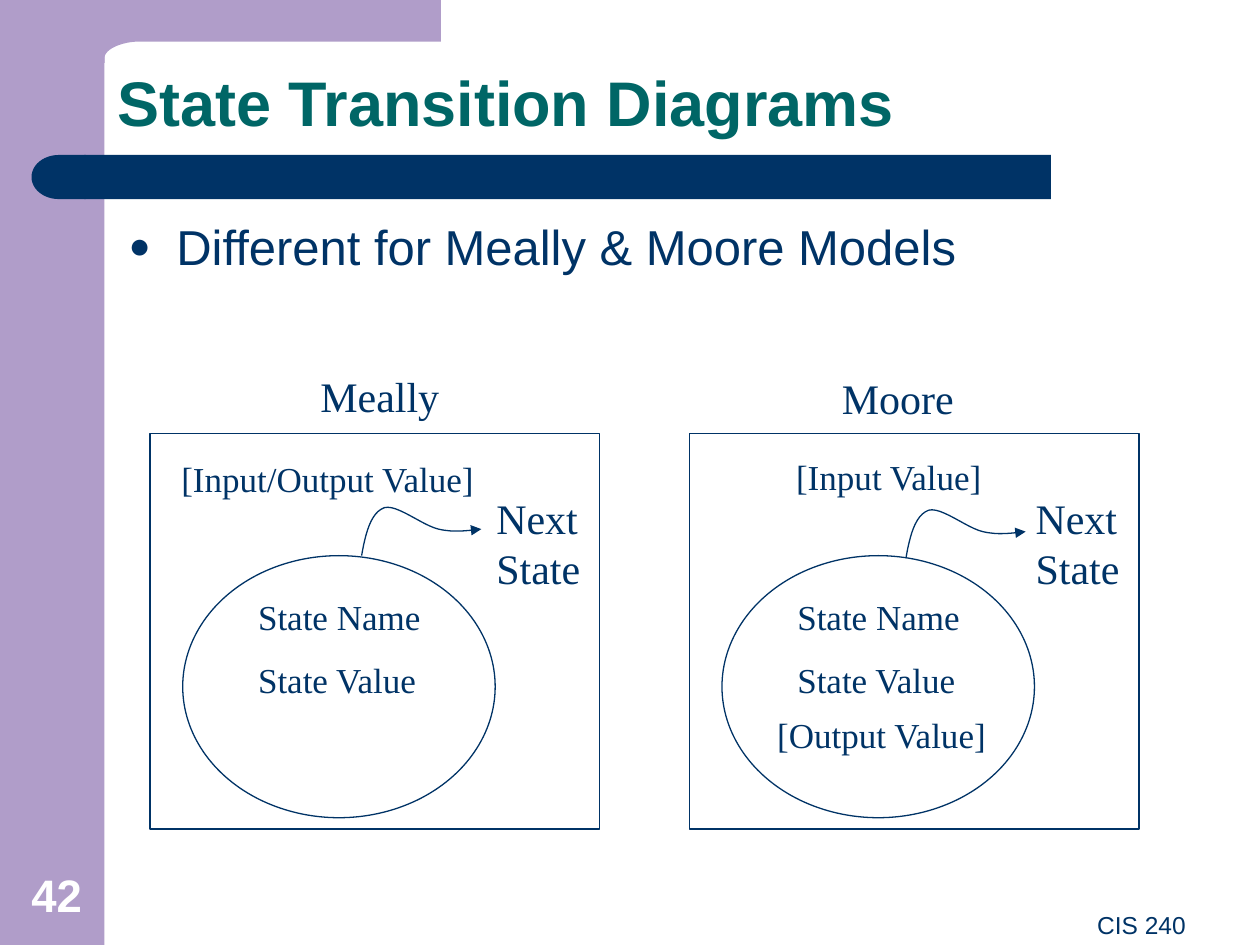
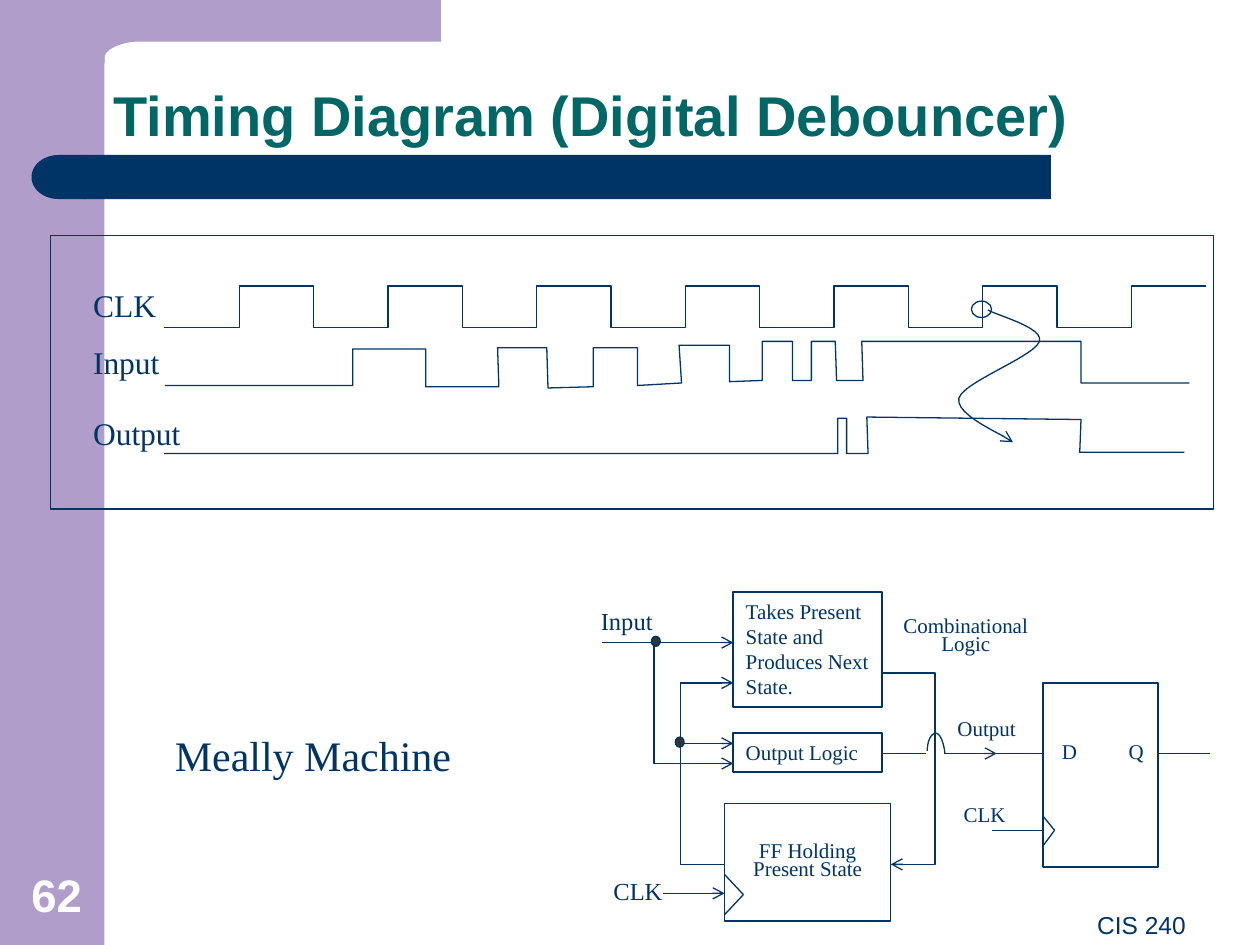
from lxml.etree import SubElement
from pptx import Presentation
from pptx.dml.color import RGBColor
from pptx.enum.shapes import MSO_CONNECTOR, MSO_SHAPE
from pptx.enum.text import MSO_ANCHOR, MSO_AUTO_SIZE, PP_ALIGN
from pptx.oxml.ns import qn
from pptx.util import Inches, Pt


class Theme:
    navy = RGBColor(0x00, 0x33, 0x66)
    teal = RGBColor(0x00, 0x66, 0x66)
    lilac = RGBColor(0xB0, 0x9D, 0xC9)
    white = RGBColor(0xFF, 0xFF, 0xFF)
    dot = RGBColor(0x33, 0x33, 0x33)
    sans, serif = "Arial", "Times New Roman"
    title, long_title, body, number, footer = 36, 32, 28, 26, 14
    heading, label, signal, pin, small = 24, 20, 18, 14, 12
    thin, medium = 0.75, 1


deck = Presentation()
deck.slide_width, deck.slide_height = Inches(10), Inches(7.5)

# Grid: 100 columns by 75 rows, all positions are counted in these
COL = deck.slide_width / 100
ROW = deck.slide_height / 75


def write(slide, text, box, shape=None, preset=None, fill=None, line=None,
          size=Theme.small, font=Theme.serif, color=Theme.navy, bold=False,
          align=PP_ALIGN.LEFT, anchor=MSO_ANCHOR.TOP, spacing=None, before=0):
    """Put text in a placeholder, a preset shape or a new text box."""
    left, top, width, height = box
    place = [round(v) for v in (left * COL, top * ROW, width * COL, height * ROW)]
    if shape is not None:
        shape.left, shape.top, shape.width, shape.height = place
    elif preset is not None:
        shape = slide.shapes.add_shape(preset, *place)
        shape.shadow.inherit = False
        if fill is None:
            shape.fill.background()
        else:
            shape.fill.solid()
            shape.fill.fore_color.rgb = fill
        if line is None:
            shape.line.fill.background()
        else:
            shape.line.color.rgb = Theme.navy
            shape.line.width = Pt(line)
    else:
        shape = slide.shapes.add_textbox(*place)
    if not text:
        return shape
    frame = shape.text_frame
    frame.word_wrap = True
    frame.auto_size = MSO_AUTO_SIZE.NONE
    frame.vertical_anchor = anchor
    for index, content in enumerate(text.split("\n")):
        paragraph = frame.add_paragraph() if index else frame.paragraphs[0]
        paragraph.alignment = align
        paragraph.space_before = Pt(before if index else 0)
        if spacing:
            paragraph.line_spacing = spacing
        run = paragraph.add_run()
        run.text = content
        run.font.size, run.font.name, run.font.bold = Pt(size), font, bold
        run.font.color.rgb = color
    return shape


def draw(slide, steps, arrow=None, fill=None):
    """Draw a path; a step of six numbers is a Bezier curve, two points a line."""
    points = []
    for step in steps:
        if len(step) == 2:
            points.append(step)
            continue
        x0, y0 = points[-1]
        x1, y1, x2, y2, x3, y3 = step
        for t in (n / 12 for n in range(1, 13)):
            a, b, c, d = (1 - t) ** 3, 3 * t * (1 - t) ** 2, 3 * t * t * (1 - t), t ** 3
            points.append((a * x0 + b * x1 + c * x2 + d * x3,
                           a * y0 + b * y1 + c * y2 + d * y3))
    points = [(round(x * COL), round(y * ROW)) for x, y in points]
    if len(points) == 2:
        path = slide.shapes.add_connector(MSO_CONNECTOR.STRAIGHT, *points[0], *points[1])
    else:
        builder = slide.shapes.build_freeform(*points[0], scale=1.0)
        builder.add_line_segments(points[1:], close=fill is not None)
        path = builder.convert_to_shape()
        path.shadow.inherit = False
        path.fill.background()
    if fill is not None:
        path.fill.solid()
        path.fill.fore_color.rgb = fill
        path.line.fill.background()
        return
    path.line.color.rgb = Theme.navy
    path.line.width = Pt(Theme.thin)
    properties = path._element.spPr
    if arrow:
        SubElement(properties.find(qn("a:ln")), qn("a:tailEnd"), type=arrow)
    if len(points) == 2:
        SubElement(properties, qn("a:effectLst"))


# Shared frame: bands, title, slide number, footer
states = deck.slides.add_slide(deck.slide_layouts[1])
timing = deck.slides.add_slide(deck.slide_layouts[5])
for slide, title, title_box, title_size, number in (
    (states, "State Transition Diagrams", (8.3, 3.3, 86.7, 8.3), Theme.title, "42"),
    (timing, "Timing Diagram (Digital Debouncer)", (8, 1.7, 85, 10.6),
     Theme.long_title, "62"),
):
    write(slide, "", (0, 0, 8.3, 75), preset=MSO_SHAPE.RECTANGLE, fill=Theme.lilac)
    draw(slide, [(5, 0), (35, 0), (35, 3.3), (11.1, 3.3),
                 (9.7, 3.3, 8.3, 3.9, 8.3, 4.6), (8.3, 5), (5, 5)], fill=Theme.lilac)
    write(slide, "", (6.7, 12.3, 76.7, 3.5), preset=MSO_SHAPE.RECTANGLE, fill=Theme.navy)
    cap = write(slide, "", (2.5, 12.3, 4.3, 3.5), preset=MSO_SHAPE.FLOWCHART_DELAY,
                fill=Theme.navy)
    cap.rotation = 180
    write(slide, title, title_box, shape=slide.shapes.title, size=title_size,
          font=Theme.sans, color=Theme.teal, bold=True, anchor=MSO_ANCHOR.BOTTOM,
          spacing=0.9)
    write(slide, number, (0, 68.3, 9, 5.3), size=Theme.number, font=Theme.sans,
          color=Theme.white, bold=True, align=PP_ALIGN.CENTER, anchor=MSO_ANCHOR.BOTTOM)
    write(slide, "CIS 240", (34.2, 71.7, 60.9, 5.2), size=Theme.footer,
          font=Theme.sans, align=PP_ALIGN.RIGHT)

# State diagrams: bullet
models = write(states, "Different for Meally & Moore Models", (9.2, 16.7, 84.1, 49.9),
               shape=states.placeholders[1], size=Theme.body, font=Theme.sans)
bullet = models.text_frame.paragraphs[0]._p.get_or_add_pPr()
bullet.set("marL", str(Inches(0.38)))
bullet.set("indent", str(-Inches(0.38)))
SubElement(SubElement(bullet, qn("a:buClr")), qn("a:srgbClr"), val=str(Theme.navy))
SubElement(bullet, qn("a:buSzPct"), val="75000")
SubElement(bullet, qn("a:buFont"), typeface=Theme.sans)
SubElement(bullet, qn("a:buChar"), char="●")

# State diagrams: one panel per model
for left, model, model_at, condition, condition_box, arrow_at in (
    (11.9, "Meally", (22.8, 28.9), "[Input/Output Value]", (13.4, 36.6, 26.2, 3.5),
     (28.7, 44.1)),
    (54.7, "Moore", (63.9, 29.1), "[Input Value]", (62.2, 36.4, 20.3, 3.5),
     (71.9, 44.3)),
):
    write(states, model, (*model_at, 14.7, 5), size=Theme.heading, align=PP_ALIGN.CENTER)
    write(states, "", (left, 34.4, 35.7, 31.4), preset=MSO_SHAPE.RECTANGLE,
          line=Theme.thin)
    write(states, "", (left + 2.6, 44.1, 24.8, 20.8), preset=MSO_SHAPE.OVAL,
          line=Theme.thin)
    write(states, "State Name\nState Value", (left + 7.6, 46.8, 16.6, 9.3),
          size=Theme.label, before=11.5)
    write(states, condition, condition_box, size=Theme.label, spacing=0.75)
    write(states, "Next State", (left + 26.5, 38.6, 13.2, 9), size=Theme.heading)
    x, y = arrow_at
    draw(states, [(x, y), (x + 0.3, y - 1.7, x + 0.7, y - 3.4, x + 1.8, y - 3.8),
                  (x + 2.8, y - 4.1, x + 4.8, y - 2.4, x + 6.1, y - 2.1),
                  (x + 7.4, y - 1.8, x + 8.5, y - 2, x + 9.5, y - 2.1)],
         arrow="triangle")
write(states, "[Output Value]", (60.7, 56.9, 20, 3.5), size=Theme.label, spacing=0.75)

# Timing diagram: frame and signal names
write(timing, "", (4, 18.7, 92.3, 21.7), preset=MSO_SHAPE.RECTANGLE, line=Theme.thin)
for signal, top in (("CLK", 22.2), ("Input", 26.7), ("Output", 32.4)):
    write(timing, signal, (6.4, top, 14.2, 4), size=Theme.signal)

# Timing diagram: clock with a regular period, then the input and output waves
clock = [(13, 26)]
for pulse in range(7):
    rise = 19 + 11.8 * pulse
    clock += [(rise, 26), (rise, 22.7), (rise + 5.9, 22.7), (rise + 5.9, 26)]
draw(timing, clock[:-1])
draw(timing, [
    (13.1, 30.6), (28, 30.6), (28, 27.7), (33.8, 27.7), (33.8, 30.7), (39.6, 30.7),
    (39.5, 27.6), (43.4, 27.6), (43.5, 30.8), (47.1, 30.7), (47.1, 27.6), (50.6, 27.6),
    (50.6, 30.6), (54.1, 30.4), (53.9, 27.4), (57.9, 27.4), (57.9, 30.3), (60.5, 30.2),
    (60.5, 27.1), (62.9, 27.1), (62.9, 30.2), (64.4, 30.2), (64.4, 27.1), (66.3, 27.1),
    (66.4, 30.2), (68.5, 30.2), (68.4, 27.1), (85.8, 27.1), (85.8, 30.4), (94.4, 30.4)])
draw(timing, [
    (13, 36), (66.5, 36), (66.5, 33.2), (67.2, 33.2), (67.2, 36), (68.9, 36),
    (68.8, 33.1), (85.8, 33.3), (85.7, 35.9), (94, 35.9)])

# Timing diagram: clock edge that triggers the output
write(timing, "", (77.1, 23.9, 1.6, 1.3), preset=MSO_SHAPE.OVAL, line=Theme.thin)
draw(timing, [(78.4, 24.6), (79, 25, 82.9, 26, 82.5, 27.1),
              (82.1, 28.3, 76.5, 30.3, 76.1, 31.6),
              (75.8, 33, 79.7, 34.5, 80.4, 35.1)], arrow="arrow")

# Circuit: blocks
write(timing, "Meally Machine", (12.9, 57.4, 26.7, 5), size=Theme.heading)
write(timing, "Takes Present State and Produces Next State.", (58.2, 47, 11.8, 9.1),
      preset=MSO_SHAPE.RECTANGLE, line=Theme.medium)
write(timing, "Output Logic", (58.2, 58.2, 11.8, 3.1), preset=MSO_SHAPE.RECTANGLE,
      line=Theme.medium)
write(timing, "FF Holding\nPresent State", (57.5, 63.8, 13.2, 9.3),
      preset=MSO_SHAPE.RECTANGLE, line=Theme.thin, align=PP_ALIGN.CENTER,
      anchor=MSO_ANCHOR.MIDDLE, spacing=0.7)
write(timing, "", (82.8, 54.2, 9.1, 14.6), preset=MSO_SHAPE.RECTANGLE, line=Theme.medium)

# Circuit: labels
write(timing, "Combinational\nLogic", (68.3, 48.7, 16.7, 3.8), align=PP_ALIGN.CENTER,
      spacing=0.7)
for label, left, top, size in (
    ("Input", 46.7, 47.6, Theme.pin), ("CLK", 47.7, 69, Theme.pin),
    ("Output", 75, 56.3, Theme.small), ("CLK", 75.5, 63.1, Theme.small),
    ("D", 83.3, 58.1, Theme.small), ("Q", 88.6, 58.1, Theme.small),
):
    write(timing, label, (left, top, 7.2, 3.3), size=size)

# Circuit: wires and clock notches
for wire in (
    [(82.8, 59.8), (78.7, 59.8)], [(96, 59.8), (91.9, 59.8)],
    [(82.8, 65.9), (78.7, 65.9)], [(73.5, 59.8), (70.1, 59.8)],
    [(82.8, 64.8), (83.7, 65.9)], [(83.7, 65.9), (82.8, 67.1)],
    [(57.5, 69.4), (59, 71)], [(59, 71), (57.5, 72.6)],
    [(73.6, 59.6), (73.6, 58.8, 73.9, 58.2, 74.3, 58.2),
     (74.6, 58.2, 74.9, 58.9, 75, 59.8)],
):
    draw(timing, wire)
for wire in (
    [(47.8, 51), (58.2, 51)], [(54, 59), (58.2, 59)],
    [(74.9, 59.8), (79.1, 59.8)], [(52.6, 70.9), (57.5, 70.9)],
    [(70.1, 53.4), (74.2, 53.4), (74.2, 68.6), (70.7, 68.6)],
    [(57.5, 68.6), (54, 68.6), (54, 54.2), (58.2, 54.2)],
    [(51.9, 51), (51.9, 60.6), (58.2, 60.6)],
):
    draw(timing, wire, arrow="arrow")
for left, top in ((53.6, 58.5), (51.7, 50.5)):
    write(timing, "", (left, top, 0.7, 0.8), preset=MSO_SHAPE.OVAL, fill=Theme.dot,
          line=Theme.thin)

deck.save("out.pptx")
